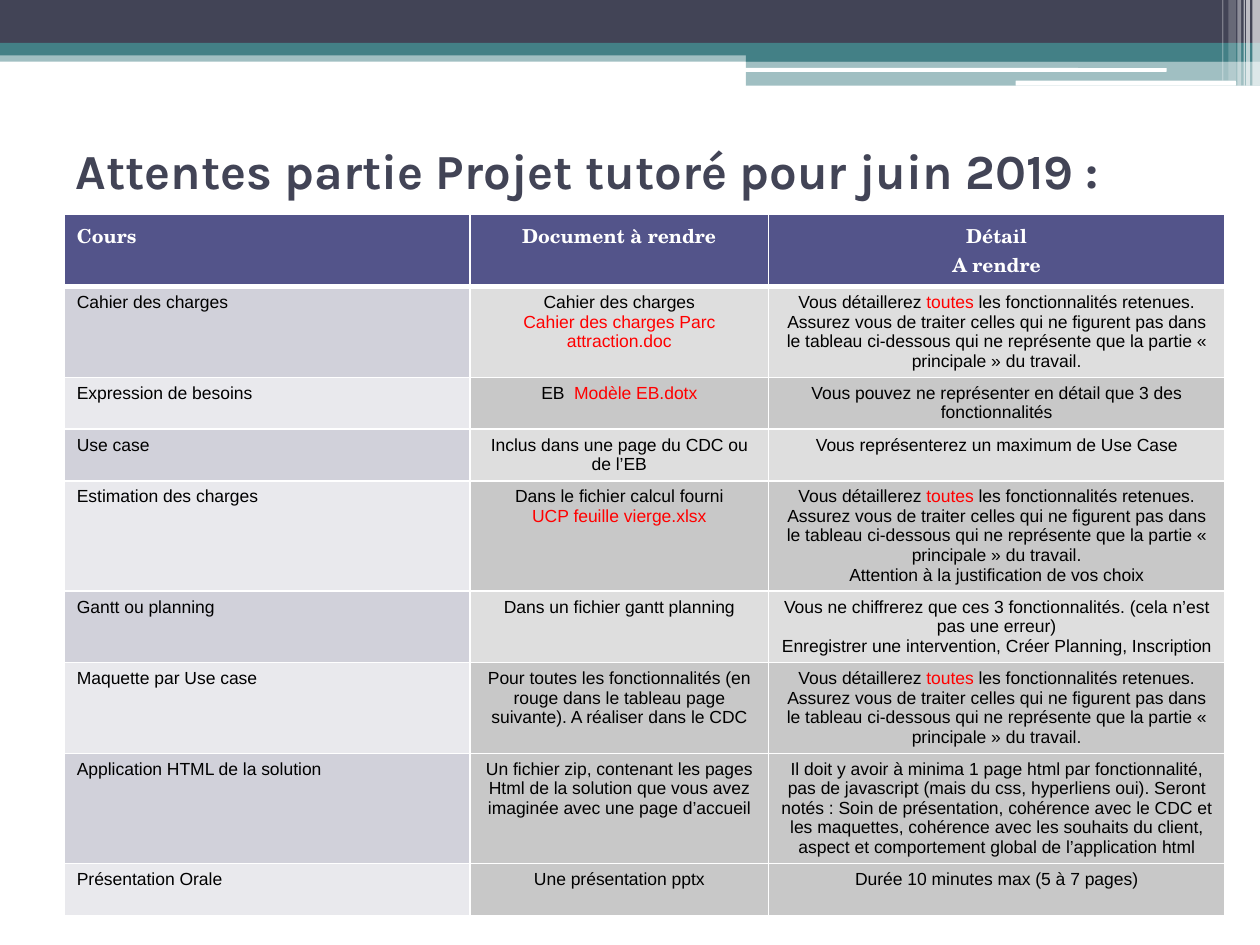
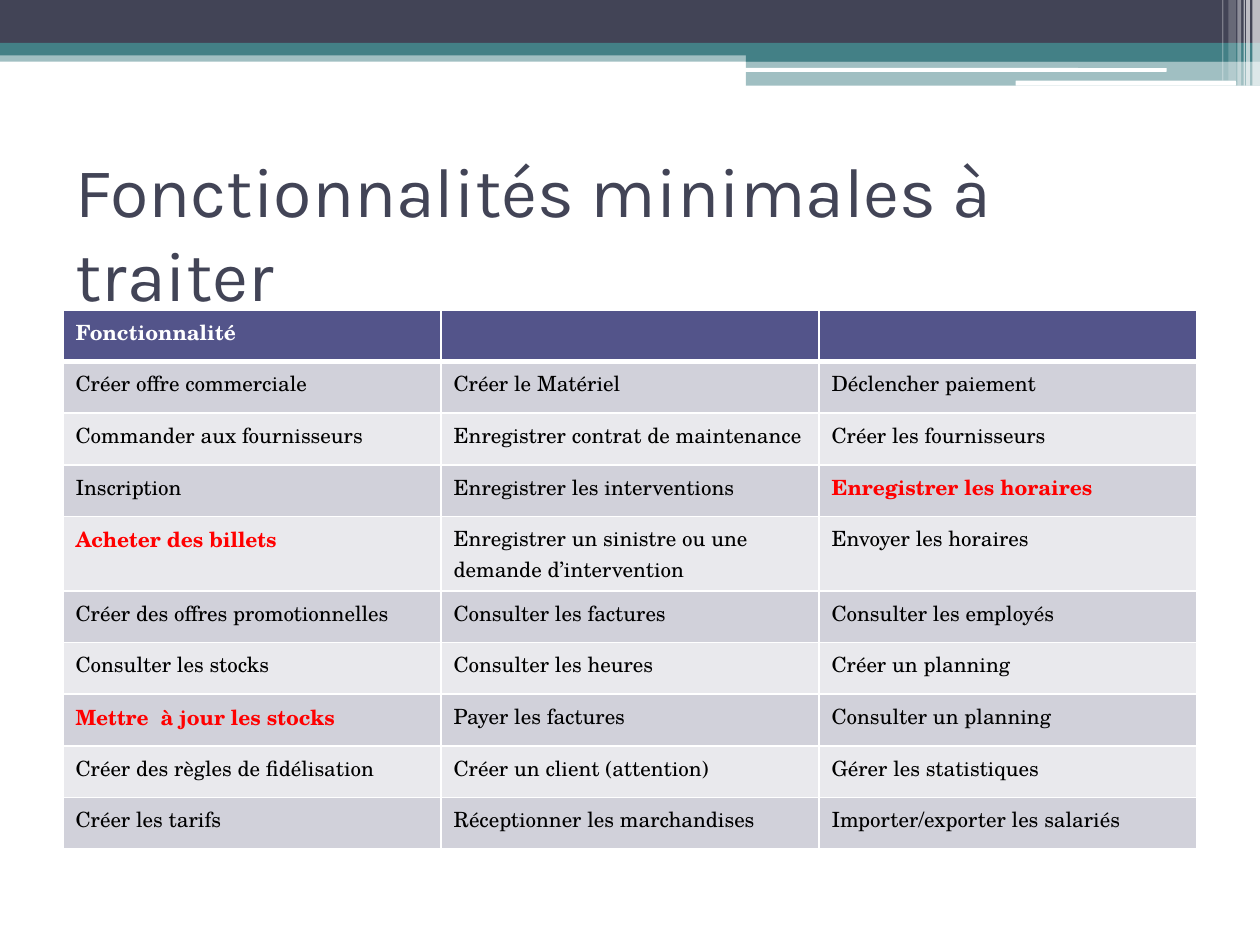
from lxml import etree
from pptx import Presentation
from pptx.dml.color import RGBColor
from pptx.enum.shapes import MSO_SHAPE as Shape
from pptx.enum.text import MSO_ANCHOR as Anchor, MSO_AUTO_SIZE as AutoSize, PP_ALIGN as Align
from pptx.oxml import parse_xml
from pptx.oxml.ns import nsdecls, qn
from pptx.util import Inches, Pt

# Colours and fonts
WHITE = RGBColor(0xFF, 0xFF, 0xFF)
BLACK = RGBColor(0x00, 0x00, 0x00)
RED = RGBColor(0xFF, 0x00, 0x00)
SLATE = RGBColor(0x42, 0x44, 0x56)
TEAL = RGBColor(0x43, 0x80, 0x86)
INDIGO = RGBColor(0x53, 0x54, 0x8A)
LILAC = RGBColor(0xD1, 0xD1, 0xDA)
PALE_LILAC = RGBColor(0xE9, 0xE9, 0xED)
LIGHT_GREY = RGBColor(0xDE, 0xDE, 0xDE)
GREY = RGBColor(0xC8, 0xC8, 0xC8)
TITLE_FONT, SERIF_FONT, SANS_FONT = "Karla", "TeX Gyre Schola", "Arial"

ROW_HEIGHT = 0.41
ROW_BANDS = (LILAC, PALE_LILAC)

# Top decoration: preset, left, top, width, height, colour, opacity in percent
BANDS = [
    (Shape.RECTANGLE, 0, 0.4, 10, 0.09, TEAL, 50),
    (Shape.RECTANGLE, 0, 0, 10, 0.34, SLATE, 100),
    (Shape.RECTANGLE, 0, 0.34, 10, 0.1, TEAL, 100),
    (Shape.RECTANGLE, 5.92, 0.39, 4.08, 0.1, TEAL, 100),
    (Shape.RECTANGLE, 5.92, 0.48, 4.08, 0.2, TEAL, 50),
    (Shape.ROUNDED_RECTANGLE, 5.91, 0.54, 3.35, 0.03, WHITE, 100),
    (Shape.ROUNDED_RECTANGLE, 8.06, 0.64, 1.75, 0.04, WHITE, 100),
]
# Vertical stripes at the right: left, width, height, opacity in percent
STRIPES = [
    (9.94, 0.06, 0.68, 65),
    (9.89, 0.03, 0.68, 65),
    (9.87, 0.01, 0.68, 60),
    (9.82, 0.03, 0.68, 40),
    (9.75, 0.06, 0.64, 20),
    (9.7, 0.01, 0.64, 30),
]
BANDS += [(Shape.RECTANGLE, left, 0, width, height, WHITE, opacity)
          for left, width, height, opacity in STRIPES]

# Table text: *red words*, one line per paragraph
ALL_FEATURES = (
    "Vous détaillerez *toutes* les fonctionnalités retenues. Assurez vous de traiter "
    "celles qui ne figurent pas dans le tableau ci-dessous qui ne représente que la "
    "partie « principale » du travail."
)
DELIVERABLES = [
    ("Cours", "Document à rendre", "Détail\nA rendre"),
    ("Cahier des charges",
     "Cahier des charges\n*Cahier des charges Parc attraction.doc*",
     ALL_FEATURES),
    ("Expression de besoins",
     "EB  *Modèle EB.dotx*",
     "Vous pouvez ne représenter en détail que 3 des fonctionnalités"),
    ("Use case",
     "Inclus dans une page du CDC ou de l’EB",
     "Vous représenterez un maximum de Use Case"),
    ("Estimation des charges",
     "Dans le fichier calcul fourni\n*UCP feuille vierge.xlsx*",
     ALL_FEATURES + "\nAttention à la justification de vos choix"),
    ("Gantt ou planning",
     "Dans un fichier gantt planning",
     "Vous ne chiffrerez que ces 3 fonctionnalités. (cela n’est pas une erreur)\n"
     "Enregistrer une intervention, Créer Planning, Inscription"),
    ("Maquette par Use case",
     "Pour toutes les fonctionnalités (en rouge dans le tableau page suivante). "
     "A réaliser dans le CDC",
     ALL_FEATURES),
    ("Application HTML de la solution",
     "Un fichier zip, contenant les pages Html de la solution que vous avez imaginée "
     "avec une page d’accueil",
     "Il doit y avoir à minima 1 page html par fonctionnalité, pas de javascript (mais "
     "du css, hyperliens oui). Seront notés : Soin de présentation, cohérence avec le "
     "CDC et les maquettes, cohérence avec les souhaits du client, aspect et "
     "comportement global de l’application html"),
    ("Présentation Orale", "Une présentation pptx", "Durée 10 minutes max (5 à 7 pages)"),
]
FEATURES = [
    ("Fonctionnalité", "", ""),
    ("Créer offre commerciale", "Créer le Matériel", "Déclencher paiement"),
    ("Commander aux fournisseurs", "Enregistrer contrat de maintenance",
     "Créer les fournisseurs"),
    ("Inscription", "Enregistrer les interventions", "*Enregistrer les horaires*"),
    ("*Acheter des billets*", "Enregistrer un sinistre ou une demande d’intervention",
     "Envoyer les horaires"),
    ("Créer des offres promotionnelles", "Consulter les factures", "Consulter les employés"),
    ("Consulter les stocks", "Consulter les heures", "Créer un planning"),
    ("*Mettre  à jour les stocks*", "Payer les factures", "Consulter un planning"),
    ("Créer des règles de fidélisation", "Créer un client (attention)",
     "Gérer les statistiques"),
    ("Créer les tarifs", "Réceptionner les marchandises", "Importer/exporter les salariés"),
]

SLIDES = [
    {
        "title": "Attentes partie Projet tutoré pour juin 2019 :",
        "title_top": 0.76,
        "title_font": {"size": Pt(28), "bold": True},
        "rows": DELIVERABLES,
        "table_at": (0.51, 1.7),
        "columns": (3.22, 2.37, 3.62),
        "aligns": (Align.LEFT, Align.CENTER, Align.CENTER),
        "header_font": {"size": Pt(11)},
        "body_font": {"name": SANS_FONT, "size": Pt(10)},
        "red_bold": False,
        # Greys of the centred columns, one per body row
        "detail_fills": [LIGHT_GREY, GREY] * 3 + [GREY] * 2,
    },
    {
        "title": "Fonctionnalités minimales à traiter",
        "title_top": 1.25,
        "title_font": {"size": Pt(40), "bold": False},
        "rows": FEATURES,
        "table_at": (0.5, 2.46),
        "columns": (3, 3, 3),
        "aligns": (Align.LEFT,) * 3,
        "header_font": {"size": Pt(12)},
        "body_font": {"name": SERIF_FONT, "size": Pt(12)},
        "red_bold": True,
        "detail_fills": None,
    },
]


def format_font(font, color, values):
    font.color.rgb = color
    for name, value in values.items():
        setattr(font, name, value)


def add_bands(slide):
    for preset, left, top, width, height, color, opacity in BANDS:
        shape = slide.shapes.add_shape(
            preset, Inches(left), Inches(top), Inches(width), Inches(height))
        shape.shadow.inherit = False
        shape.line.fill.background()
        shape.fill.solid()
        shape.fill.fore_color.rgb = color
        if opacity < 100:
            color_element = shape.fill._xPr.find(".//" + qn("a:srgbClr"))
            etree.SubElement(color_element, qn("a:alpha"), val=str(opacity * 1000))


def set_title(slide, content):
    title = slide.shapes.title
    title.left, title.top = Inches(0.5), Inches(content["title_top"])
    title.width, title.height = Inches(9), Inches(1.17)
    frame = title.text_frame
    frame.text = content["title"]
    frame.auto_size = AutoSize.NONE
    frame.vertical_anchor = Anchor.MIDDLE
    paragraph = frame.paragraphs[0]
    paragraph.alignment = Align.LEFT
    format_font(paragraph.runs[0].font, SLATE, {"name": TITLE_FONT, **content["title_font"]})


def set_borders(cell, row_index):
    """White cell borders, thicker between the header and the body."""
    widths = {"lnL": 1, "lnR": 1,
              "lnT": 3 if row_index == 1 else 1,
              "lnB": 3 if row_index == 0 else 1}
    properties = cell._tc.get_or_add_tcPr()
    for tag, width in widths.items():
        properties.append(parse_xml(
            f'<a:{tag} {nsdecls("a")} w="{Pt(width)}"><a:solidFill>'
            f'<a:srgbClr val="{WHITE}"/></a:solidFill></a:{tag}>'))


def write_cell(cell, text, align, color, font_values, red_bold):
    cell.text = ""
    for index, line in enumerate(text.split("\n")):
        frame = cell.text_frame
        paragraph = frame.paragraphs[0] if index == 0 else frame.add_paragraph()
        paragraph.alignment = align
        for part_index, part in enumerate(line.split("*")):
            if not part:
                continue
            run = paragraph.add_run()
            run.text = part
            if part_index % 2:
                format_font(run.font, RED, {**font_values, "bold": red_bold})
            else:
                format_font(run.font, color, font_values)


def cell_fill(content, row_index, column_index):
    if row_index == 0:
        return INDIGO
    if column_index and content["detail_fills"]:
        return content["detail_fills"][row_index - 1]
    return ROW_BANDS[(row_index - 1) % 2]


def add_content_table(slide, content):
    rows, columns = content["rows"], content["columns"]
    left, top = content["table_at"]
    table = slide.shapes.add_table(
        len(rows), len(columns), Inches(left), Inches(top),
        Inches(sum(columns)), Inches(ROW_HEIGHT * len(rows))).table
    for column, width in zip(table.columns, columns):
        column.width = Inches(width)
    header_font = {"name": SERIF_FONT, "bold": True, **content["header_font"]}
    body_font = {"bold": False, **content["body_font"]}

    for row_index, row in enumerate(rows):
        table.rows[row_index].height = Inches(ROW_HEIGHT)
        color, font_values = (BLACK, body_font) if row_index else (WHITE, header_font)
        for column_index, text in enumerate(row):
            cell = table.cell(row_index, column_index)
            set_borders(cell, row_index)
            cell.fill.solid()
            cell.fill.fore_color.rgb = cell_fill(content, row_index, column_index)
            write_cell(cell, text, content["aligns"][column_index],
                       color, font_values, content["red_bold"])


def main():
    presentation = Presentation()
    presentation.slide_width, presentation.slide_height = Inches(10), Inches(7.5)
    title_only = presentation.slide_layouts[5]
    for content in SLIDES:
        slide = presentation.slides.add_slide(title_only)
        add_bands(slide)
        set_title(slide, content)
        add_content_table(slide, content)
    presentation.save("out.pptx")


if __name__ == "__main__":
    main()
